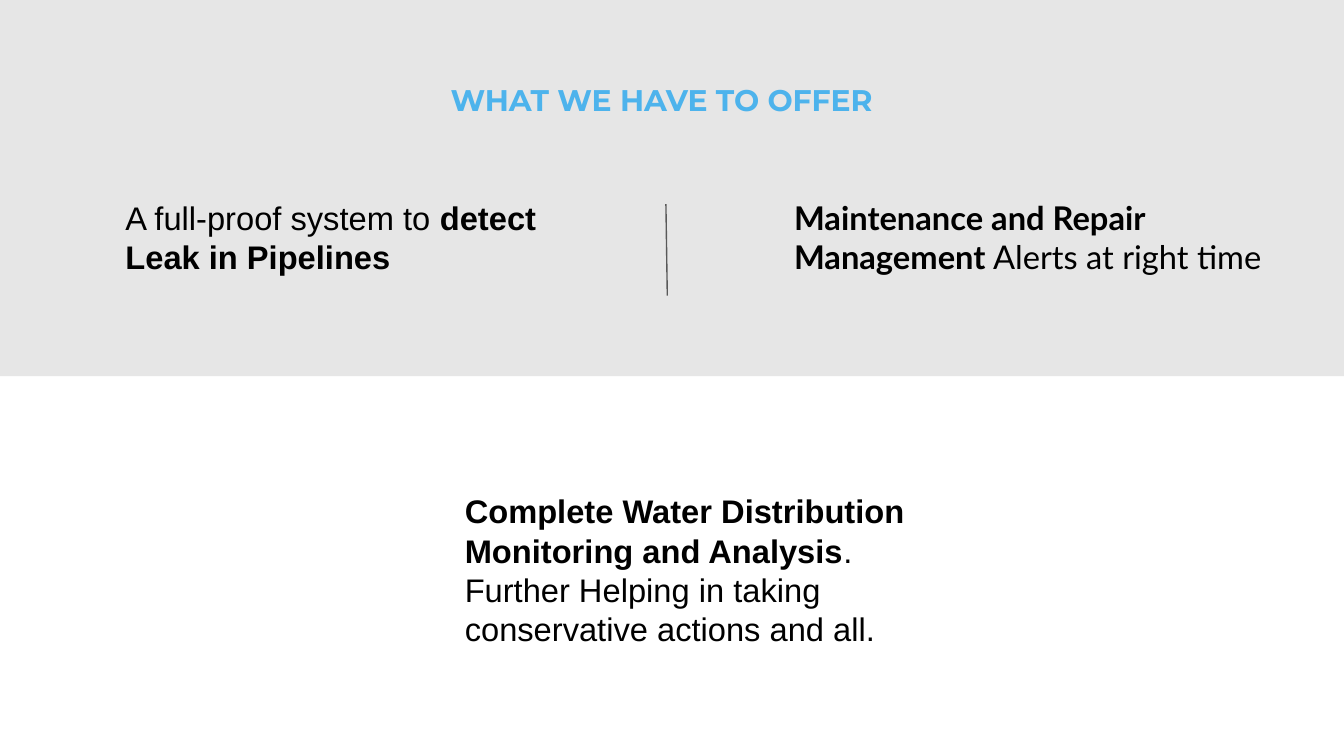
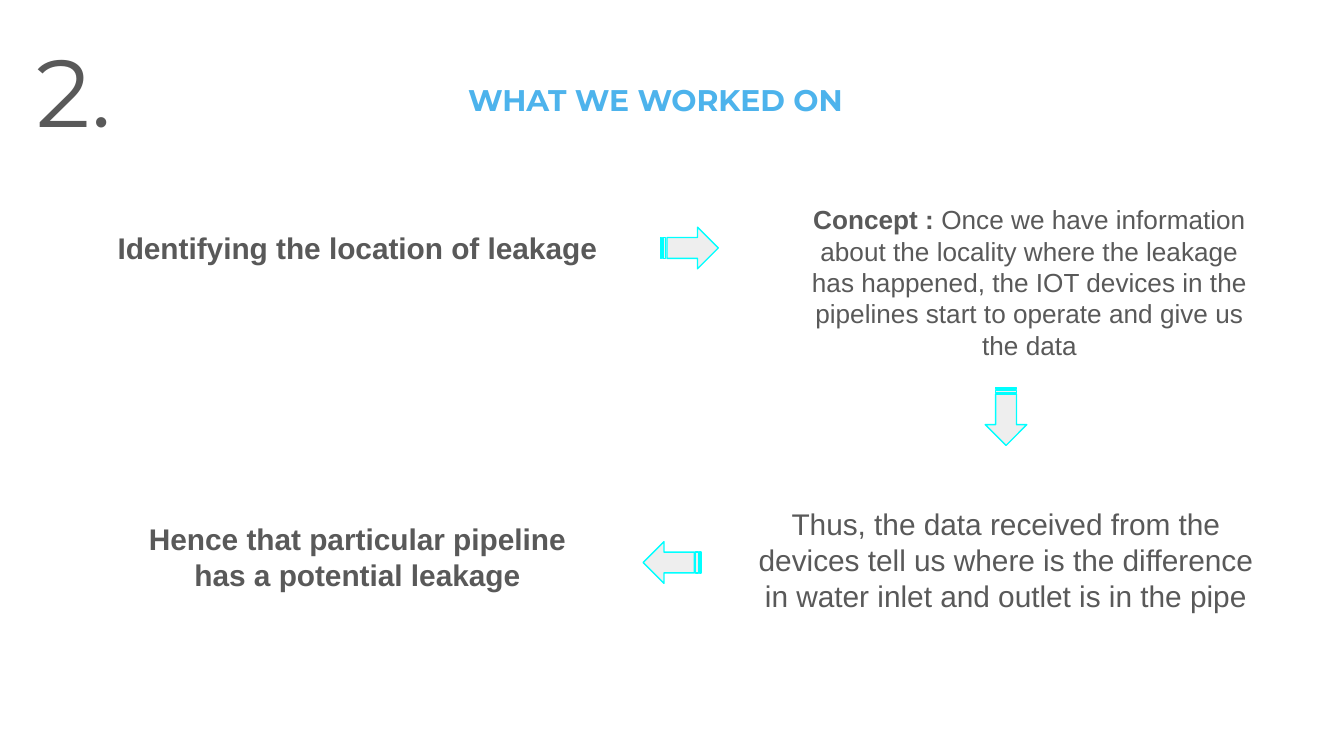
from lxml import etree
from pptx import Presentation
from pptx.dml.color import RGBColor
from pptx.enum.shapes import MSO_CONNECTOR, MSO_SHAPE
from pptx.enum.text import PP_ALIGN
from pptx.oxml.ns import qn
from pptx.util import Pt

PX = 4572  # EMU per px, 200 px to the inch
WIDTH, HEIGHT = 2000, 1125
INSET = 20
LEFT, CENTER = PP_ALIGN.LEFT, PP_ALIGN.CENTER
RECTANGLE, STRIPED_ARROW = MSO_SHAPE.RECTANGLE, MSO_SHAPE.STRIPED_RIGHT_ARROW
STRAIGHT = MSO_CONNECTOR.STRAIGHT
COLORS = {
    "band": "E6E6E6",
    "title": "4DB3EC",
    "black": "000000",
    "gray": "595959",
    "arrow": "EEEEEE",
    "cyan": "00FFFF",
}
RGB = {part: RGBColor.from_string(code) for part, code in COLORS.items()}


def add_text(slide, box, paragraphs, size, color, font="Arial", align=LEFT):
    """Write paragraphs, each a list of (text, bold) runs, in a box given in px."""
    frame = slide.shapes.add_textbox(*(v * PX for v in box)).text_frame
    frame_format = {"word_wrap": True, "margin_left": INSET * PX, "margin_right": INSET * PX,
                    "margin_top": INSET * PX, "margin_bottom": INSET * PX}
    for attribute, value in frame_format.items():
        setattr(frame, attribute, value)
    for number, runs in enumerate(paragraphs):
        paragraph = frame.add_paragraph() if number else frame.paragraphs[0]
        paragraph.alignment = align
        for text, bold in runs:
            run = paragraph.add_run()
            run.text = text
            for attribute, value in {"name": font, "size": Pt(size), "bold": bold}.items():
                setattr(run.font, attribute, value)
            run.font.color.rgb = RGB[color]


def add_title(slide, left, text):
    add_text(slide, (left, 102, 698, 100), [[(text, True)]], 16, "title", "Montserrat")


prs = Presentation()
prs.slide_width, prs.slide_height = WIDTH * PX, HEIGHT * PX
blank = prs.slide_layouts[6]

# Slide 1: the offer
offer = prs.slides.add_slide(blank)
band = offer.shapes.add_shape(RECTANGLE, 0, 0, WIDTH * PX, 560 * PX)
band.shadow.inherit = False
band.fill.solid()
band.fill.fore_color.rgb = RGB["band"]
band.line.fill.background()

benefits = [
    ((672, 711, 698, 276), "Arial", [
        [("Complete Water Distribution Monitoring and Analysis", True), (".", False)],
        [("Further Helping in taking conservative actions and all.", False)],
    ]),
    ((167, 274, 656, 158), "Arial", [
        [("A full-proof system to ", False), ("detect Leak in Pipelines", True)],
    ]),
    ((1162, 274, 772, 158), "Lato", [
        [("Maintenance and Repair Management", True), (" Alerts at right time", False)],
    ]),
]
for box, font, paragraphs in benefits:
    add_text(offer, box, paragraphs, 17.5, "black", font)
add_title(offer, 651, "WHAT WE HAVE TO OFFER")

divider = offer.shapes.add_connector(STRAIGHT, 991 * PX, 304 * PX, 993 * PX, 440 * PX)
divider.line.color.rgb = RGB["gray"]
divider.line.width = Pt(0.75)
etree.SubElement(divider._element.spPr, qn("a:effectLst"))

# Slide 2: the work, read clockwise along the arrows
work = prs.slides.add_slide(blank)
add_text(work, (35, 28, 202, 202), [[("2.", False)]], 51, "gray", "Montserrat")
add_title(work, 677, "WHAT WE WORKED ON")

steps = [
    ((84, 322, 896, 94), 16, [("Identifying the location of leakage", True)]),
    ((1165, 283, 734, 140), 14, [
        ("Concept : ", True),
        ("Once we have information about the locality where the leakage has happened, "
         "the IOT devices in the pipelines start to operate and give us the data", False),
    ]),
    ((1103, 733, 788, 208), 16, [
        ("Thus, the data received from the devices tell us where is the difference "
         "in water inlet and outlet is in the pipe", False),
    ]),
    ((193, 755, 678, 140), 16, [("Hence that particular pipeline has a potential leakage", True)]),
]
for box, size, runs in steps:
    add_text(work, box, [runs], size, "gray", align=CENTER)

for turn, (left, top) in enumerate([(983, 338), (1454, 589), (957, 806)]):
    arrow = work.shapes.add_shape(STRIPED_ARROW, left * PX, top * PX, 86 * PX, 62 * PX)
    arrow.rotation = 90 * turn
    arrow.shadow.inherit = False
    arrow.fill.solid()
    arrow.fill.fore_color.rgb = RGB["arrow"]
    arrow.line.color.rgb = RGB["cyan"]
    arrow.line.width = Pt(0.75)

prs.save("out.pptx")
